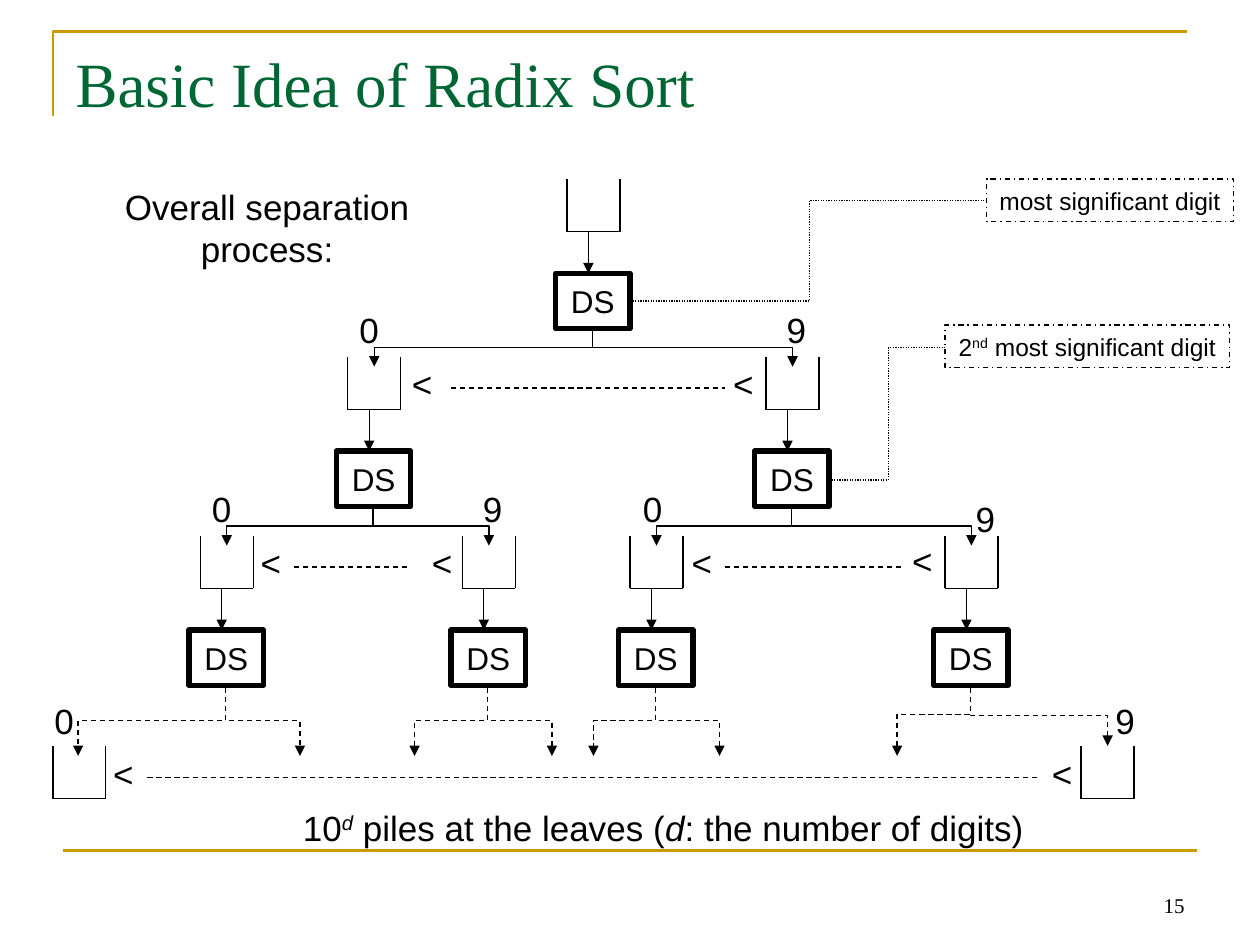
"""Build the slide that shows radix sort as a tree of digit separations."""
from dataclasses import dataclass

from lxml import etree
from pptx import Presentation
from pptx.dml.color import RGBColor
from pptx.enum.dml import MSO_LINE
from pptx.enum.shapes import MSO_CONNECTOR, MSO_SHAPE
from pptx.enum.text import MSO_ANCHOR, MSO_AUTO_SIZE, PP_ALIGN
from pptx.oxml.ns import qn
from pptx.util import Inches, Pt

STRAIGHT, ELBOW = MSO_CONNECTOR.STRAIGHT, MSO_CONNECTOR.ELBOW
RECTANGLE = MSO_SHAPE.RECTANGLE
DASH, DASH_DOT, DOT = MSO_LINE.DASH, MSO_LINE.DASH_DOT, MSO_LINE.ROUND_DOT
TOP, BOTTOM = MSO_ANCHOR.TOP, MSO_ANCHOR.BOTTOM
MIDDLE = MSO_ANCHOR.MIDDLE
LEFT, CENTER, RIGHT = PP_ALIGN.LEFT, PP_ALIGN.CENTER, PP_ALIGN.RIGHT
FIT, NO_FIT = MSO_AUTO_SIZE.SHAPE_TO_FIT_TEXT, MSO_AUTO_SIZE.NONE


@dataclass(frozen=True)
class Theme:
    ink: RGBColor = RGBColor(0, 0, 0)
    green: RGBColor = RGBColor(0x00, 0x66, 0x33)
    gold: RGBColor = RGBColor(0xCC, 0x99, 0x00)
    sans: str = "Arial"
    serif: str = "Times New Roman"
    title: Pt = Pt(36)
    body: Pt = Pt(20)
    box: Pt = Pt(18)
    callout: Pt = Pt(14)
    number: Pt = Pt(12)
    thin: Pt = Pt(0.75)
    rule: Pt = Pt(1.5)
    thick: Pt = Pt(3)


theme = Theme()
prs = Presentation()
prs.slide_width, prs.slide_height = Inches(10), Inches(7.5)
slide = prs.slides.add_slide(prs.slide_layouts[5])
shapes = slide.shapes


def write(shape, runs, size, face=theme.sans, color=theme.ink, align=CENTER, **frame_format):
    frame = shape.text_frame
    frame_values = {"word_wrap": False, "auto_size": FIT, "vertical_anchor": TOP}
    for name, value in (frame_values | frame_format).items():
        setattr(frame, name, value)
    paragraph = frame.paragraphs[0]
    paragraph.alignment = align
    for words, italic, raised in runs:
        run = paragraph.add_run()
        run.text = words
        for name, value in {"name": face, "size": size, "italic": italic}.items():
            setattr(run.font, name, value)
        run.font.color.rgb = color
        if raised:
            run._r.get_or_add_rPr().set("baseline", "30000")


def link(owner, kind, ends, dash=None, arrow=False, color=theme.ink, width=theme.thin):
    connector = owner.add_connector(kind, *map(Inches, ends))
    connector.line.color.rgb = color
    for name, value in {"width": width, "dash_style": dash}.items():
        setattr(connector.line, name, value)
    properties = connector._element.spPr
    if arrow:
        etree.SubElement(properties.find(qn("a:ln")), qn("a:tailEnd"), type="triangle")
    etree.SubElement(properties, qn("a:effectLst"))
    return connector


corner = shapes.build_freeform(Inches(0.42), Inches(0.92), scale=1.0)
corner.add_line_segments(
    [(Inches(0.42), Inches(0.25)), (Inches(9.42), Inches(0.25))], close=False)
frame_rule = corner.convert_to_shape()
frame_rule.shadow.inherit = False
frame_rule.fill.background()
frame_rule.line.color.rgb = theme.gold
frame_rule.line.width = theme.rule
link(shapes, STRAIGHT, (0.5, 6.75, 9.5, 6.75), color=theme.gold, width=theme.rule)

title = shapes.title
title_place = {"left": 0.5, "top": 0.3, "width": 9, "height": 1.25}
for name, value in title_place.items():
    setattr(title, name, Inches(value))
write(title, [("Basic Idea of Radix Sort", False, False)], theme.title, theme.serif,
      theme.green, LEFT, word_wrap=True, auto_size=NO_FIT)
page_number = shapes.add_textbox(*map(Inches, (7.17, 6.83, 2.33, 0.5)))
write(page_number, [("15", False, False)], theme.number, theme.serif, align=RIGHT,
      word_wrap=True, auto_size=NO_FIT, vertical_anchor=BOTTOM)

row_tops = [1.42, 2.83, 4.25, 5.92]
bin_rows = [[4.5], [2.76, 6.08], [1.59, 3.67, 5, 7.5], [0.42, 8.58]]
bin_size, ds_drop = 0.42, 0.75
boxes = [
    ((7.83, 1.42, 1.96, 0.34), [("most significant digit", False, False)],
     theme.callout, theme.thin, DASH_DOT),
    ((7.5, 2.58, 2.26, 0.34),
     [("2", False, False), ("nd", False, True), (" most significant digit", False, False)],
     theme.callout, theme.thin, DASH_DOT),
]
for top, lefts in zip(row_tops, bin_rows):
    for left in lefts:
        right, bottom = left + bin_size, top + bin_size
        pile = shapes.add_group_shape().shapes
        for side in ((left, top, left, bottom), (left, bottom, right, bottom),
                     (right, bottom, right, top)):
            link(pile, STRAIGHT, side)
        if top != row_tops[-1]:
            boxes.append(((left - 0.09, top + ds_drop, 0.59, 0.44),
                          [("DS", False, False)], theme.box, theme.thick, None))
            link(shapes, STRAIGHT, (left + 0.17, bottom, left + 0.17, top + ds_drop),
                 arrow=True)

for place, runs, size, width, dash in boxes:
    box = shapes.add_shape(RECTANGLE, *map(Inches, place))
    box.shadow.inherit = False
    box.fill.background()
    box.line.color.rgb = theme.ink
    for name, value in {"width": width, "dash_style": dash}.items():
        setattr(box.line, name, value)
    write(box, runs, size, vertical_anchor=MIDDLE)

branches = []
for level in (0, 1):
    for index, parent in enumerate(bin_rows[level]):
        for child in bin_rows[level + 1][2 * index:2 * index + 2]:
            branches.append((parent + 0.2, row_tops[level] + 1.21, child + 0.21,
                             row_tops[level + 1] + 0.08, 0.46, None))
leaf_tips = [
    [(0.62, 6, 0.48), (2.38, 6, 0.48)],
    [(3.29, 6, 0.48), (4.38, 6, 0.48)],
    [(4.71, 6, 0.48), (5.71, 6, 0.48)],
    [(7.12, 6, 0.39), (8.79, 5.92, 0.48)],
]
for parent, tips in zip(bin_rows[2], leaf_tips):
    for tip_x, tip_y, bend in tips:
        branches.append((parent + 0.2, 5.46, tip_x, tip_y, bend, DASH))

for start_x, start_y, end_x, end_y, bend, dash in branches:
    center_x, center_y = (start_x + end_x) / 2, (start_y + end_y) / 2
    reach, half_span = (end_y - start_y) / 2, abs(end_x - start_x) / 2
    turn = 90
    if end_x > start_x:
        reach, turn = -reach, 270
    branch = link(shapes, ELBOW, (center_x - reach, center_y - half_span,
                                  center_x + reach, center_y + half_span), dash, True)
    properties = branch._element.spPr
    properties.find(qn("a:xfrm")).set("rot", str(turn * 60000))
    guides = properties.find(qn("a:prstGeom")).find(qn("a:avLst"))
    etree.SubElement(guides, qn("a:gd"), name="adj1", fmla=f"val {round(bend * 100000)}")

for ends in ((5.02, 2.39, 7.83, 1.59), (6.6, 3.81, 7.5, 2.76)):
    link(shapes, ELBOW, ends, DOT)
for start_x, end_x, y in ((3.58, 5.75, 3.08), (2.33, 3.25, 4.5),
                          (5.75, 7.17, 4.5), (1.17, 8.25, 6.17)):
    link(shapes, STRAIGHT, (start_x, y, end_x, y), DASH)

marks = {
    "<": [(3.17, 2.83), (5.72, 2.83), (1.97, 4.25), (3.33, 4.25),
          (5.39, 4.25), (7.14, 4.23), (0.8, 5.92), (8.25, 5.92)],
    "0": [(2.75, 2.4), (1.58, 3.82), (5, 3.82), (0.33, 5.5)],
    "9": [(6.14, 2.4), (3.73, 3.82), (7.64, 3.9), (8.75, 5.5)],
}
captions = [((x, y, 0.36, 0.43), [(mark, False, False)])
            for mark, spots in marks.items() for x, y in spots]
captions += [
    ((0.33, 1.42, 3.58, 0.77), [("Overall separation", False, False)]),
    ((2.28, 6.35, 5.97, 0.44),
     [("10", False, False), ("d", True, True), (" piles at the leaves (", False, False),
      ("d", True, False), (": the number of digits)", False, False)]),
]
for place, runs in captions:
    caption = shapes.add_textbox(*map(Inches, place))
    write(caption, runs, theme.body)
    if runs[0][0] == "Overall separation":
        caption.text_frame.paragraphs[0].add_line_break()
        second_line = caption.text_frame.paragraphs[0].add_run()
        second_line.text = "process:"
        for name, value in {"name": theme.sans, "size": theme.body}.items():
            setattr(second_line.font, name, value)
        second_line.font.color.rgb = theme.ink

prs.save("out.pptx")
